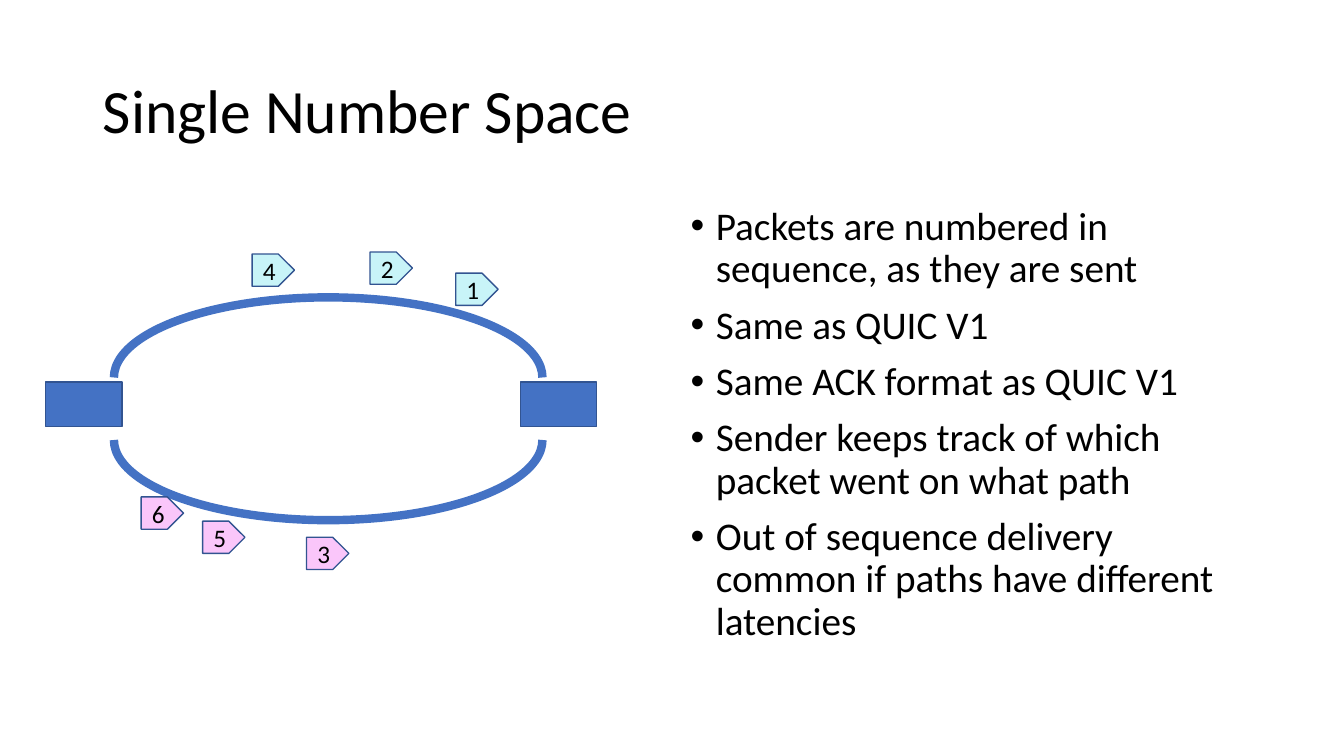
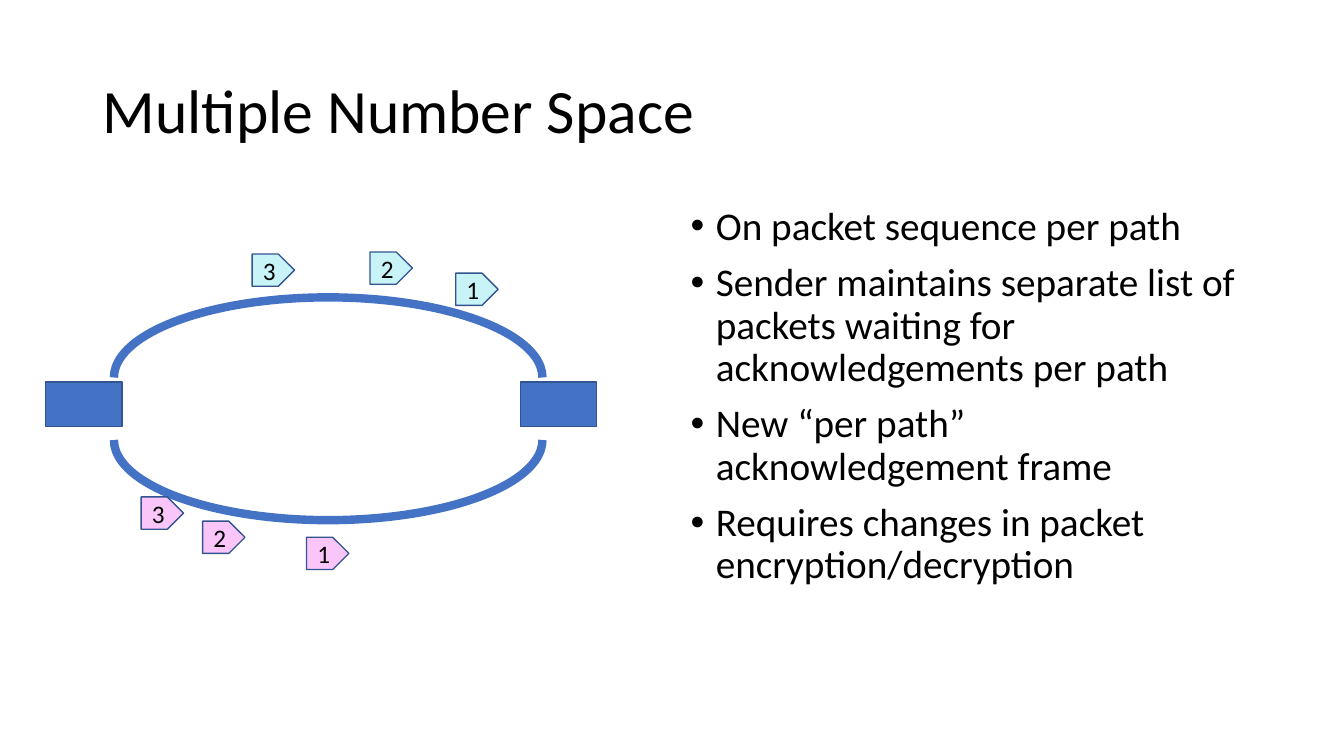
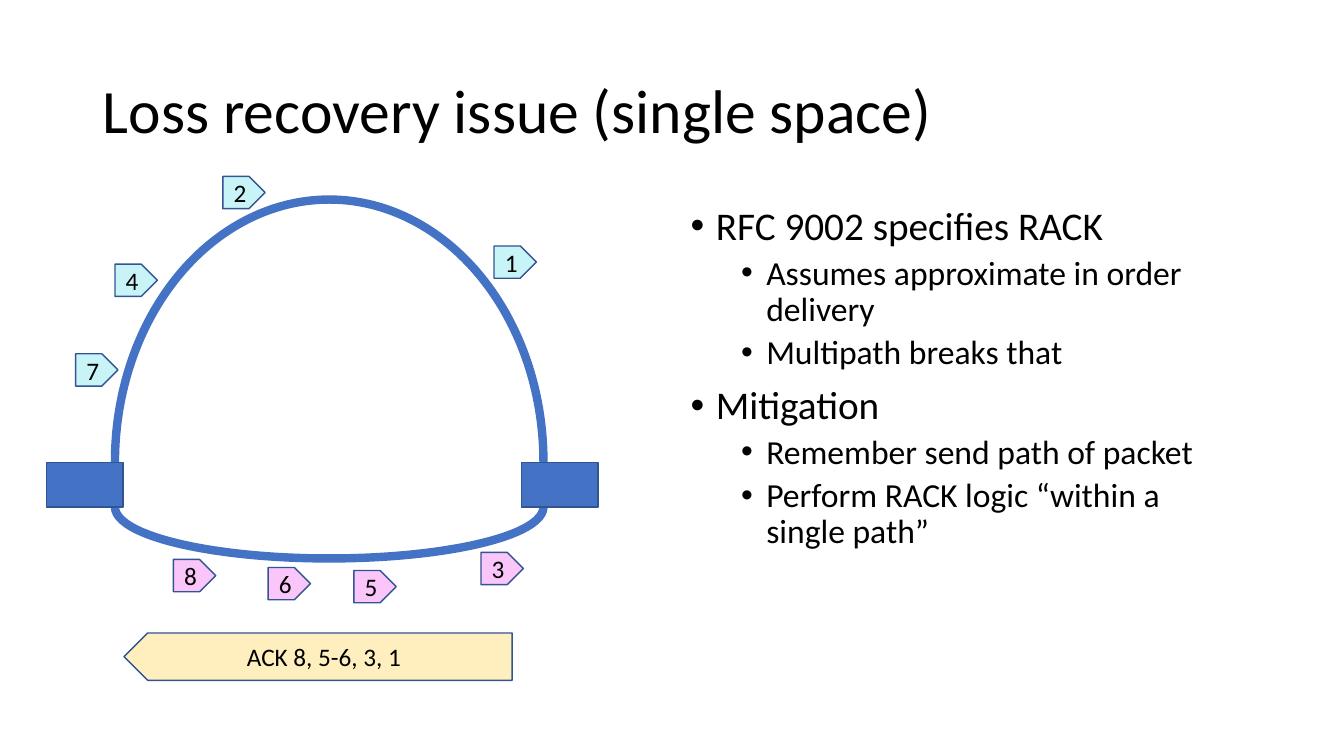
from dataclasses import dataclass

from lxml import etree
from pptx import Presentation
from pptx.dml.color import RGBColor
from pptx.enum import shapes, text
from pptx.oxml import ns
from pptx.util import Emu, Pt

PX = 9144  # EMU in one px, 100 px to the inch
KIND = shapes.MSO_SHAPE


@dataclass(frozen=True)
class Theme:
    font: str = "Calibri"
    ink: str = "000000"
    blue: str = "4472C4"
    edge: str = "325491"
    cyan: str = "24D6E4"
    pink: str = "EC1CEC"
    gold: str = "FFC000"
    tint: int = 25  # opacity of tags in percent
    head: int = 44
    list: tuple = (28, 24)  # size by level
    gap: tuple = (10, 5)  # space before by level
    label: int = 18
    thin: int = 1
    thick: int = 6


def px(*sizes):
    return [Emu(size * PX) for size in sizes]


def put(target, values):
    for name, value in values.items():
        setattr(target, name, value)


def sub(parent, tag, **attrs):
    return etree.SubElement(parent, ns.qn(tag), attrs)


class Deck:
    def __init__(self, theme):
        self.theme = theme
        self.prs = Presentation()
        wide, high = px(1333, 750)
        put(self.prs, {"slide_width": wide, "slide_height": high})
        self.slide = None

    # Text
    def style(self, para, size, **values):
        put(para, values)
        put(para.font, {"name": self.theme.font, "size": Pt(size)})
        para.font.color.rgb = RGBColor.from_string(self.theme.ink)

    def hold(self, shape, box, anchor):
        put(shape, dict(zip(("left", "top", "width", "height"), px(*box))))
        put(shape.text_frame, {"word_wrap": True, "vertical_anchor": anchor,
                               "auto_size": text.MSO_AUTO_SIZE.NONE})
        return shape.text_frame

    def page(self, title):
        self.slide = self.prs.slides.add_slide(self.prs.slide_layouts[1])
        frame = self.hold(self.slide.shapes.title, (92, 40, 1150, 145),
                          text.MSO_ANCHOR.MIDDLE)
        frame.text = title
        self.style(frame.paragraphs[0], self.theme.head, line_spacing=0.9,
                   alignment=text.PP_ALIGN.LEFT)

    def bullets(self, items):
        frame = self.hold(self.slide.placeholders[1], (675, 200, 567, 476),
                          text.MSO_ANCHOR.TOP)
        frame.text = "\n".join(line for level, line in items)
        for para, (level, line) in zip(frame.paragraphs, items):
            self.style(para, self.theme.list[level], level=level,
                       line_spacing=0.9, space_before=Pt(self.theme.gap[level]))
            props = para._p.get_or_add_pPr()
            props.set("marL", str((25 + 50 * level) * PX))
            props.set("indent", str(-25 * PX))
            sub(props, "a:buFont", typeface="Arial")
            sub(props, "a:buChar", char="•")

    # Shapes
    def shape(self, kind, box, line, width, fill=None):
        shape = self.slide.shapes.add_shape(kind, *px(*box))
        shape.shadow.inherit = False
        shape.line.color.rgb = RGBColor.from_string(line)
        shape.line.width = Pt(width)
        if fill:
            shape.fill.solid()
            shape.fill.fore_color.rgb = RGBColor.from_string(fill)
        else:
            shape.fill.background()
        return shape

    def arc(self, box, start, end):
        arc = self.shape(KIND.ARC, box, self.theme.blue, self.theme.thick)
        arc.adjustments[0], arc.adjustments[1] = start, end

    def node(self, x, y):
        self.shape(KIND.RECTANGLE, (x, y, 76, 44), self.theme.edge,
                   self.theme.thin, self.theme.blue)

    def tag(self, label, x, y, fill, size=(42, 32), flip=False):
        tag = self.shape(KIND.PENTAGON, (x, y, *size), self.theme.edge,
                         self.theme.thin, fill)
        color = tag._element.spPr.find(".//" + ns.qn("a:srgbClr"))
        sub(color, "a:alpha", val=str(self.theme.tint * 1000))
        if flip:
            tag._element.spPr.find(ns.qn("a:xfrm")).set("flipH", "1")
        tag.text_frame.text = label
        self.style(tag.text_frame.paragraphs[0], self.theme.label,
                   alignment=text.PP_ALIGN.CENTER)

    # Two hosts joined by an upper and a lower route
    def loop(self, x, upper, lower, hosts, cyan, pink):
        half = 108  # 180 degrees in arc units
        for (y, high), ends in ((upper, (half, 0)), (lower, (0, half))):
            self.arc((x + 68, y, 425, high), *ends)
        for fill, tags in ((self.theme.cyan, cyan), (self.theme.pink, pink)):
            for label, left, top in tags:
                self.tag(label, left, top, fill)
        for left in (x, x + 471):
            self.node(left, hosts)


def main():
    theme = Theme()
    deck = Deck(theme)

    # Number spaces: same drawing, own packet numbers
    high = ((452, 271), (367, 250), (250, 252))
    low = ((304, 533), (201, 517), (140, 493))
    spaces = (
        ("Single Number Space", "124", "356",
         ("Packets are numbered in sequence, as they are sent",
          "Same as QUIC V1",
          "Same ACK format as QUIC V1",
          "Sender keeps track of which packet went on what path",
          "Out of sequence delivery common if paths have different latencies")),
        ("Multiple Number Space", "123", "123",
         ("On packet sequence per path",
          "Sender maintains separate list of packets waiting for "
          "acknowledgements per path",
          "New “per path” acknowledgement frame",
          "Requires changes in packet encryption/decryption")),
    )
    for title, cyan, pink, lines in spaces:
        deck.page(title)
        deck.bullets([(0, line) for line in lines])
        deck.loop(45, (295, 159), (357, 159), 379,
                  [(num, *spot) for num, spot in zip(cyan, high)],
                  [(num, *spot) for num, spot in zip(pink, low)])

    # Loss recovery
    deck.page("Loss recovery issue (single space)")
    deck.bullets([
        (0, "RFC 9002 specifies RACK"),
        (1, "Assumes approximate in order delivery"),
        (1, "Multipath breaks that"),
        (0, "Mitigation"),
        (1, "Remember send path of packet"),
        (1, "Perform RACK logic “within a single path”"),
    ])
    deck.loop(46, (198, 521), (452, 102), 459,
              [("1", 490, 244), ("2", 221, 175), ("4", 114, 262), ("7", 75, 351)],
              [("3", 477, 548), ("5", 351, 566), ("6", 266, 563), ("8", 172, 555)])
    deck.tag("ACK 8, 5-6, 3, 1", 123, 628, theme.gold, (385, 47), flip=True)

    deck.prs.save("out.pptx")


if __name__ == "__main__":
    main()
